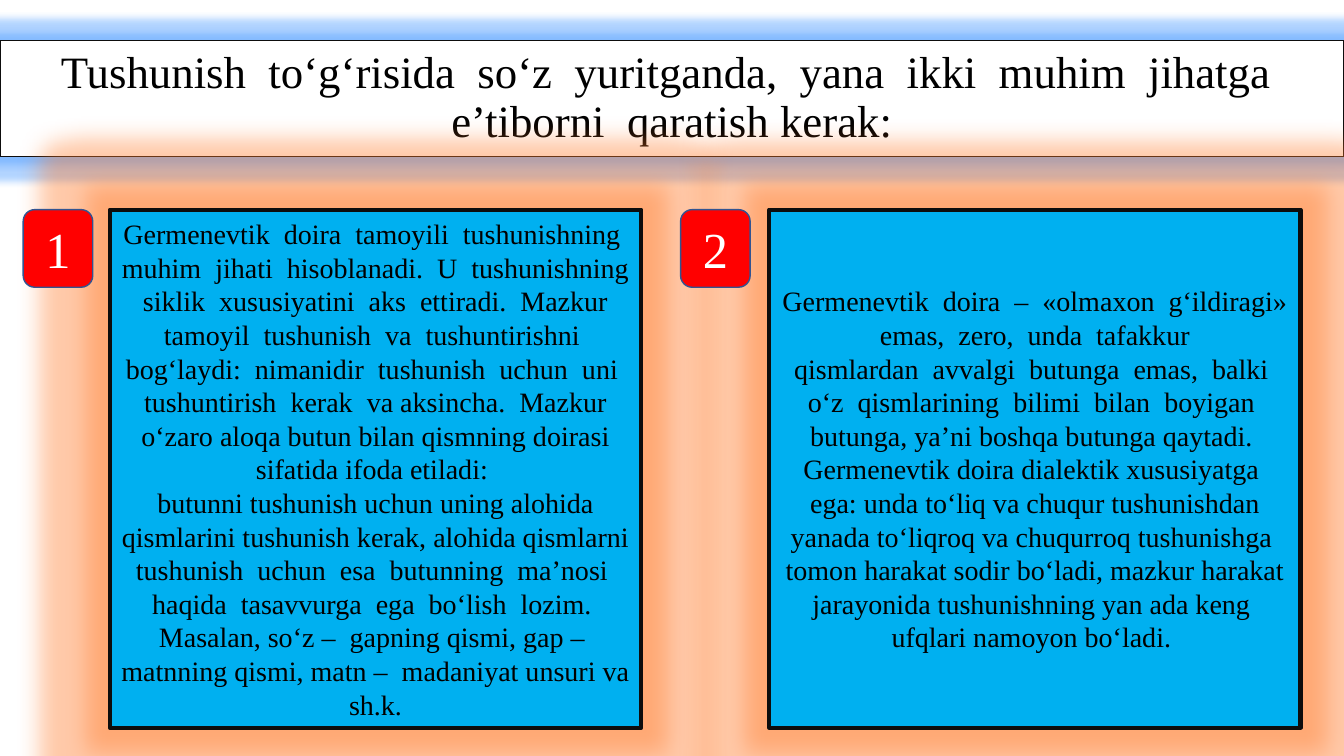
from lxml import etree
from pptx import Presentation
from pptx.dml.color import RGBColor
from pptx.enum.shapes import MSO_SHAPE as Preset
from pptx.enum.text import MSO_ANCHOR as Anchor, PP_ALIGN as Align
from pptx.oxml.ns import qn
from pptx.util import Inches, Pt

WHITE = RGBColor(0xFF, 0xFF, 0xFF)
BLACK = RGBColor(0x00, 0x00, 0x00)
INK = RGBColor(0x0D, 0x0D, 0x0D)
SKY = RGBColor(0x00, 0xB0, 0xF0)
RED = RGBColor(0xFF, 0x00, 0x00)
NAVY = RGBColor(0x32, 0x54, 0x91)
BLUE_GLOW = RGBColor(0x3F, 0x95, 0xFF)
ORANGE_GLOW = RGBColor(0xFF, 0x7A, 0x28)

TITLE = "Tushunish  to‘g‘risida  so‘z  yuritganda,  yana  ikki  muhim  jihatga  e’tiborni  qaratish kerak:"
ASPECTS = [
    [
        "Germenevtik  doira  tamoyili  tushunishning  muhim  jihati  hisoblanadi.  "
        "U  tushunishning  siklik  xususiyatini  aks  ettiradi.  Mazkur  tamoyil  "
        "tushunish  va  tushuntirishni  bog‘laydi:  nimanidir  tushunish  uchun  uni  "
        "tushuntirish  kerak  va aksincha.  Mazkur o‘zaro aloqa butun bilan qismning "
        "doirasi sifatida ifoda etiladi: ",
        "butunni tushunish uchun uning alohida qismlarini tushunish kerak, alohida qismlarni ",
        "tushunish  uchun  esa  butunning  ma’nosi  haqida  tasavvurga  ega  bo‘lish  lozim. ",
        "Masalan, so‘z –  gapning qismi, gap –  matnning qismi, matn –  madaniyat unsuri va  sh.k. ",
    ],
    [
        "Germenevtik  doira  –  «olmaxon  g‘ildiragi»  emas,  zero,  unda  tafakkur ",
        "qismlardan  avvalgi  butunga  emas,  balki  o‘z  qismlarining  bilimi  bilan  boyigan ",
        "butunga, ya’ni boshqa butunga qaytadi.  Germenevtik doira dialektik xususiyatga ",
        "ega: unda to‘liq va chuqur tushunishdan yanada to‘liqroq va chuqurroq tushunishga ",
        "tomon harakat sodir bo‘ladi, mazkur harakat jarayonida tushunishning yan ada keng ",
        "ufqlari namoyon bo‘ladi. ",
    ],
]
TOP = 2.08
BADGE_LEFT = 0.23
BADGE_PITCH = 6.52
BOX_LEFT = 1.09
BOX_PITCH = 6.54


def add_panel(slide, preset, box, fill, line, line_width):
    shape = slide.shapes.add_shape(preset, *(Inches(length) for length in box))
    shape.shadow.inherit = False
    shape.fill.solid()
    shape.fill.fore_color.rgb = fill
    shape.line.color.rgb = line
    shape.line.width = Pt(line_width)
    return shape


def write_text(shape, texts, size, color, spacing=1.0):
    frame = shape.text_frame
    frame.word_wrap = True
    frame.vertical_anchor = Anchor.MIDDLE
    for index, text in enumerate(texts):
        paragraph = frame.paragraphs[0] if index == 0 else frame.add_paragraph()
        paragraph.alignment = Align.CENTER
        paragraph.line_spacing = spacing
        run = paragraph.add_run()
        run.text = text
        run.font.name = "Times New Roman"
        run.font.size = Pt(size)
        run.font.color.rgb = color


def add_glow(shape, color, radius):
    effects = shape._element.spPr.find(qn("a:effectLst"))
    glow = etree.SubElement(effects, qn("a:glow"), rad=str(Inches(radius)))
    tint = etree.SubElement(glow, qn("a:srgbClr"), val=str(color))
    etree.SubElement(tint, qn("a:alpha"), val="40000")


def add_title(slide):
    shape = add_panel(slide, Preset.RECTANGLE, (0, 0.4, 13.33, 1.15), WHITE, INK, 1)
    add_glow(shape, BLUE_GLOW, 0.15)
    write_text(shape, [TITLE], 32, BLACK, 0.9)


def add_aspect(slide, index, texts):
    box = (BOX_LEFT + index * BOX_PITCH, TOP, 5.27, 5.14)
    shape = add_panel(slide, Preset.RECTANGLE, box, SKY, INK, 3)
    add_glow(shape, ORANGE_GLOW, 0.45)
    write_text(shape, texts, 20, BLACK)


def add_badge(slide, index):
    box = (BADGE_LEFT + index * BADGE_PITCH, TOP, 0.69, 0.77)
    shape = add_panel(slide, Preset.ROUNDED_RECTANGLE, box, RED, NAVY, 1)
    write_text(shape, [str(index + 1)], 36, WHITE)


def main():
    presentation = Presentation()
    presentation.slide_width = Inches(13.33)
    presentation.slide_height = Inches(7.5)
    slide = presentation.slides.add_slide(presentation.slide_layouts[6])
    add_title(slide)
    for index, texts in enumerate(ASPECTS):
        add_aspect(slide, index, texts)
    for index in range(len(ASPECTS)):
        add_badge(slide, index)
    presentation.save("out.pptx")


if __name__ == "__main__":
    main()
